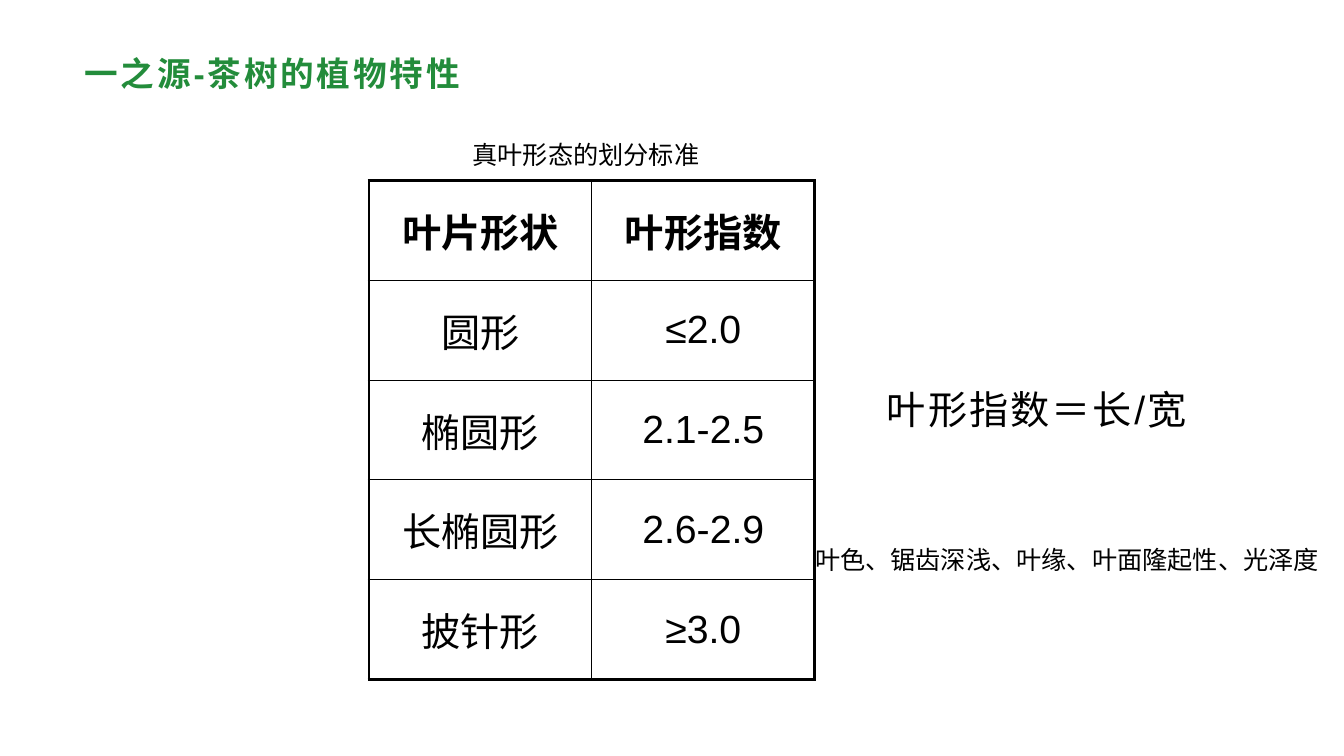
"""Build the slide on the leaf shapes of the tea plant."""
from lxml import etree
from pptx import Presentation, util as u
from pptx.dml.color import RGBColor
from pptx.enum import text
from pptx.oxml.ns import qn

GREEN = RGBColor(0x23, 0x8C, 0x3B)
BLACK = RGBColor(0, 0, 0)

SLIDE_SIZE = 33.87, 19.05
LABELS = [
    {"words": "一之源-茶树的植物特性", "at": (1.85, 1.22, 30.15, 1.22),
     "font": {"name": "Arial", "size": u.Pt(24), "bold": True}, "color": GREEN, "spacing": 2,
     "frame": {"margin_left": u.Cm(0.28), "margin_right": u.Cm(0.2), "margin_top": u.Cm(0.1),
               "margin_bottom": u.Cm(0.1), "vertical_anchor": text.MSO_ANCHOR.MIDDLE}},
    {"words": "叶形指数＝长/宽", "at": (22.07, 9.35, 9.32, 2.29),
     "font": {"name": "Arial", "size": u.Pt(28)}, "color": BLACK, "spacing": 1.5,
     "frame": {"margin_left": u.Cm(0.28), "margin_right": u.Cm(0.23),
               "margin_top": 0, "margin_bottom": 0},
     "paragraph": {"line_spacing": 1.3, "space_after": u.Pt(10)}},
    {"words": "叶色、锯齿深浅、叶缘、叶面隆起性、光泽度", "at": (20.29, 13.59, 13.36, 1.8),
     "font": {"name": "Times New Roman", "size": u.Pt(18)}, "color": BLACK},
    {"words": "真叶形态的划分标准", "at": (11.66, 3.38, 7.26, 1.02),
     "font": {"name": "Arial", "size": u.Pt(18)}, "color": BLACK},
]
LEAF_SHAPES = [
    ("叶片形状", "叶形指数"),
    ("圆形", "≤2.0"),
    ("椭圆形", "2.1-2.5"),
    ("长椭圆形", "2.6-2.9"),
    ("披针形", "≥3.0"),
]
TABLE_AT = 9.3, 4.55, 11.23, 12.57
OUTER, INNER = 2.25, 1


def apply(target, values):
    for name, value in values.items():
        setattr(target, name, value)


def write(paragraph, words, font, color, spacing=0):
    run = paragraph.add_run()
    run.text = words
    apply(run.font, font)
    run.font.color.rgb = color
    if spacing:
        run.font._element.set("spc", str(int(spacing * 100)))


def add_label(slide, label):
    frame = slide.shapes.add_textbox(*map(u.Cm, label["at"])).text_frame
    apply(frame, {"word_wrap": True, **label.get("frame", {})})
    paragraph = frame.paragraphs[0]
    apply(paragraph, label.get("paragraph", {}))
    write(paragraph, label["words"], label["font"], label["color"], label.get("spacing", 0))


def add_borders(cell, widths):
    properties = cell._tc.get_or_add_tcPr()
    for position, (side, width) in enumerate(widths.items()):
        border = etree.Element(qn(f"a:ln{side}"), w=str(u.Pt(width)))
        fill = etree.SubElement(border, qn("a:solidFill"))
        etree.SubElement(fill, qn("a:srgbClr"), val=str(BLACK))
        properties.insert(position, border)


def add_leaf_table(slide):
    last_row, last_column = len(LEAF_SHAPES) - 1, len(LEAF_SHAPES[0]) - 1
    table = slide.shapes.add_table(last_row + 1, last_column + 1, *map(u.Cm, TABLE_AT)).table
    apply(table, {"first_row": False, "horz_banding": False})
    for r, row in enumerate(LEAF_SHAPES):
        for c, words in enumerate(row):
            cell = table.cell(r, c)
            cell.vertical_anchor = text.MSO_ANCHOR.MIDDLE
            cell.fill.background()
            paragraph = cell.text_frame.paragraphs[0]
            paragraph.alignment = text.PP_ALIGN.CENTER
            write(paragraph, words, {"name": "Arial", "size": u.Pt(28), "bold": r == 0}, BLACK)
            edges = {"L": c == 0, "R": c == last_column, "T": r == 0, "B": r == last_row}
            add_borders(cell, {side: OUTER if edge else INNER for side, edge in edges.items()})


def main():
    deck = Presentation()
    deck.slide_width, deck.slide_height = map(u.Cm, SLIDE_SIZE)
    slide = deck.slides.add_slide(deck.slide_layouts[6])
    add_leaf_table(slide)
    for label in LABELS:
        add_label(slide, label)
    deck.save("out.pptx")


if __name__ == "__main__":
    main()
